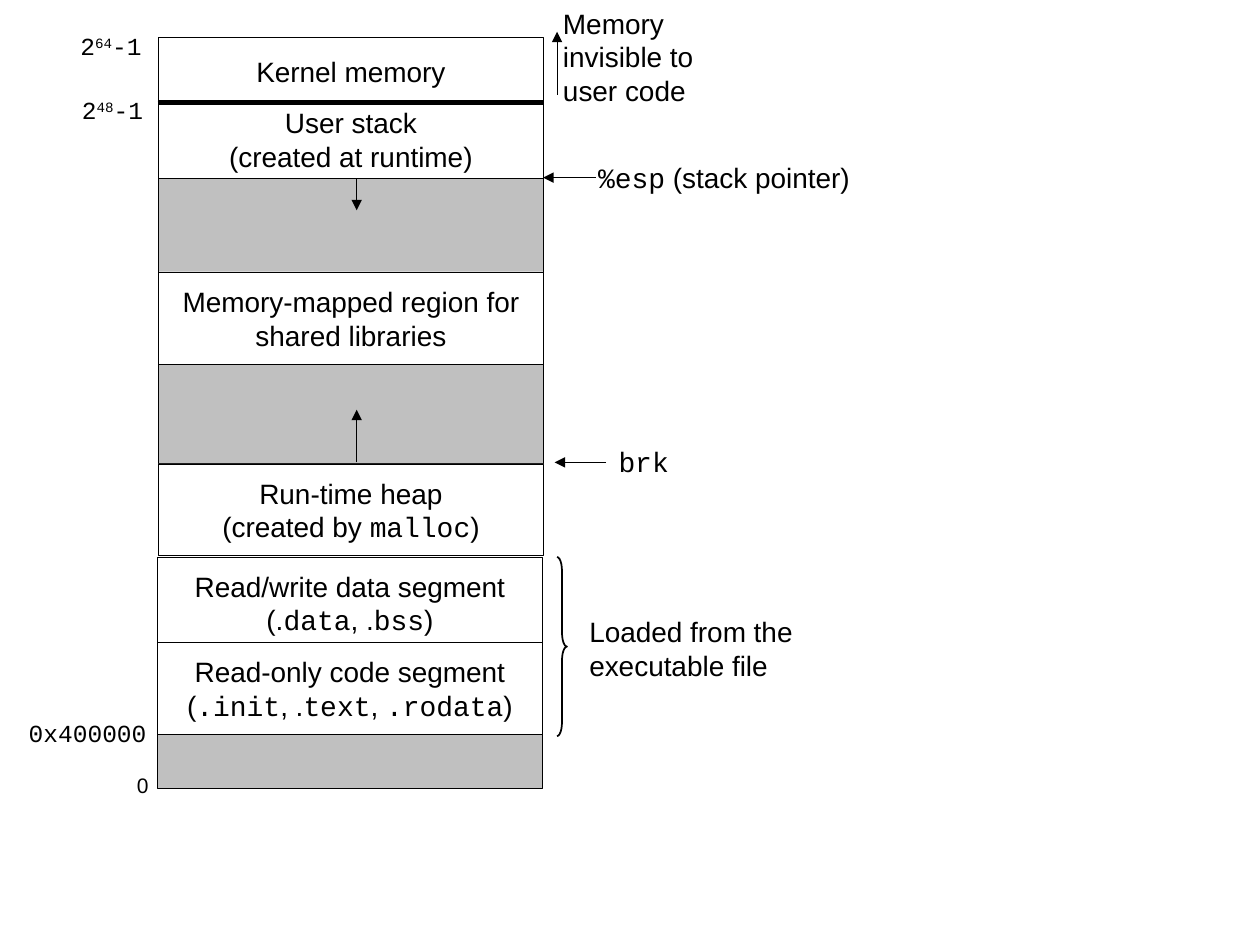
from typing import NamedTuple

from lxml import etree
from pptx import Presentation
from pptx.dml.color import RGBColor
from pptx.enum.shapes import MSO_CONNECTOR, MSO_SHAPE
from pptx.enum.text import MSO_ANCHOR, MSO_AUTO_SIZE, PP_ALIGN
from pptx.oxml.ns import qn
from pptx.shapes.autoshape import Shape
from pptx.slide import Slide
from pptx.text.text import TextFrame
from pptx.util import Cm, Pt

BLACK = RGBColor(0x00, 0x00, 0x00)
WHITE = RGBColor(0xFF, 0xFF, 0xFF)
GRAY = RGBColor(0xC0, 0xC0, 0xC0)
SANS, MONO = "Arial", "Courier New"
THIN = 0.25

# Lengths are in centimetres; `...` marks code and ^...^ a superscript.
COLUMN_LEFT, FILE_LEFT, REGION_WIDTH = 3.2, 3.18, 7.75
MIDDLE_X = 7.19


class Region(NamedTuple):
    top: float
    height: float
    lines: tuple[str, ...] = ()
    left: float = COLUMN_LEFT


class Label(NamedTuple):
    left: float
    top: float
    width: float
    height: float
    lines: tuple[str, ...]
    size: int = 16


class Stroke(NamedTuple):
    x1: float
    y1: float
    x2: float
    y2: float
    weight: float = THIN
    arrow: bool = True


# Unused regions come first, so that the stack covers the top of its gap.
REGIONS = [
    Region(2.97, 2.51),
    Region(7.34, 2.01),
    Region(14.81, 1.09, left=FILE_LEFT),
    Region(0.76, 1.35, ("Kernel memory",)),
    Region(2.03, 1.57, ("User stack", "(created at runtime)")),
    Region(5.49, 1.85, ("Memory-mapped region for", "shared libraries")),
    Region(9.35, 1.85, ("Run-time heap", "(created by `malloc`)")),
    Region(11.23, 1.85, ("Read/write data segment", "(.`data`, .`bss`)"), FILE_LEFT),
    Region(12.95, 1.85, ("Read-only code segment",
                         "(`.init`, .`text`, `.rodata`)"), FILE_LEFT),
]

LABELS = [
    Label(1.37, 0.51, 1.8, 0.86, ("`2^64^-1`",), 14),
    Label(1.4, 1.8, 1.8, 0.86, ("`2^48^-1`",), 14),
    Label(0.33, 14.35, 2.9, 0.86, ("`0x400000`",), 14),
    Label(2.51, 15.44, 0.74, 0.76, ("0",), 12),
    Label(11.1, 0, 3.15, 2.29, ("Memory", "invisible to", "user code")),
    Label(11.81, 3.12, 5.61, 0.94, ("`%esp` (stack pointer)",)),
    Label(12.22, 8.84, 1.52, 0.94, ("`brk`",)),
    Label(11.63, 12.27, 4.78, 1.63, ("Loaded from the", "executable file")),
]

STROKES = [
    Stroke(MIDDLE_X, 3.61, MIDDLE_X, 4.24),  # stack growth
    Stroke(MIDDLE_X, 9.32, MIDDLE_X, 8.26),  # heap growth
    Stroke(11.23, 1.91, 11.23, 0.64),  # kernel space
    Stroke(12.01, 3.58, 10.95, 3.58),  # stack pointer
    Stroke(12.22, 9.32, 11.18, 9.32),  # brk
    Stroke(FILE_LEFT, 2.08, 10.97, 2.08, weight=2.25, arrow=False),
]


def write_lines(frame: TextFrame, lines: tuple[str, ...], size: int,
                align: PP_ALIGN) -> None:
    """Write one paragraph per line, turning the marks into formatted runs."""
    frame.word_wrap = False
    for row, line in enumerate(lines):
        paragraph = frame.add_paragraph() if row else frame.paragraphs[0]
        paragraph.alignment = align
        for code, chunk in enumerate(line.split("`")):
            for raised, piece in enumerate(chunk.split("^")):
                if not piece:
                    continue
                run = paragraph.add_run()
                run.text = piece
                run.font.name = MONO if code % 2 else SANS
                run.font.size = Pt(size)
                run.font.color.rgb = BLACK
                if raised % 2:
                    run._r.get_or_add_rPr().set("baseline", "30000")


def add_outlined(slide: Slide, preset: MSO_SHAPE, left: float, top: float,
                 width: float, height: float, weight: float) -> Shape:
    shape = slide.shapes.add_shape(preset, Cm(left), Cm(top), Cm(width), Cm(height))
    shape.shadow.inherit = False
    shape.line.color.rgb = BLACK
    shape.line.width = Pt(weight)
    return shape


def draw_region(slide: Slide, region: Region) -> None:
    box = add_outlined(slide, MSO_SHAPE.RECTANGLE, region.left, region.top,
                       REGION_WIDTH, region.height, THIN)
    box.fill.solid()
    box.fill.fore_color.rgb = WHITE if region.lines else GRAY
    box.text_frame.vertical_anchor = MSO_ANCHOR.MIDDLE
    write_lines(box.text_frame, region.lines, 16, PP_ALIGN.CENTER)


def draw_label(slide: Slide, label: Label) -> None:
    box = slide.shapes.add_textbox(Cm(label.left), Cm(label.top),
                                   Cm(label.width), Cm(label.height))
    box.text_frame.auto_size = MSO_AUTO_SIZE.SHAPE_TO_FIT_TEXT
    write_lines(box.text_frame, label.lines, label.size, PP_ALIGN.LEFT)


def draw_stroke(slide: Slide, stroke: Stroke) -> None:
    connector = slide.shapes.add_connector(
        MSO_CONNECTOR.STRAIGHT, Cm(stroke.x1), Cm(stroke.y1),
        Cm(stroke.x2), Cm(stroke.y2))
    connector.line.color.rgb = BLACK
    connector.line.width = Pt(stroke.weight)
    if stroke.arrow:
        outline = connector.line._get_or_add_ln()
        etree.SubElement(outline, qn("a:tailEnd"), type="triangle")
    etree.SubElement(connector._element.spPr, qn("a:effectLst"))


def draw_brace(slide: Slide) -> None:
    brace = add_outlined(slide, MSO_SHAPE.RIGHT_BRACE, 11.23, 11.23, 0.2, 3.61, 1)
    brace.fill.background()
    brace.adjustments[0] = 1.42
    brace.adjustments[1] = 0.5


def main() -> None:
    deck = Presentation()
    deck.slide_width, deck.slide_height = Cm(25.4), Cm(19.05)
    slide = deck.slides.add_slide(deck.slide_layouts[6])
    for region in REGIONS:
        draw_region(slide, region)
    for stroke in STROKES:
        draw_stroke(slide, stroke)
    draw_brace(slide)
    for label in LABELS:
        draw_label(slide, label)
    deck.save("out.pptx")


if __name__ == "__main__":
    main()
